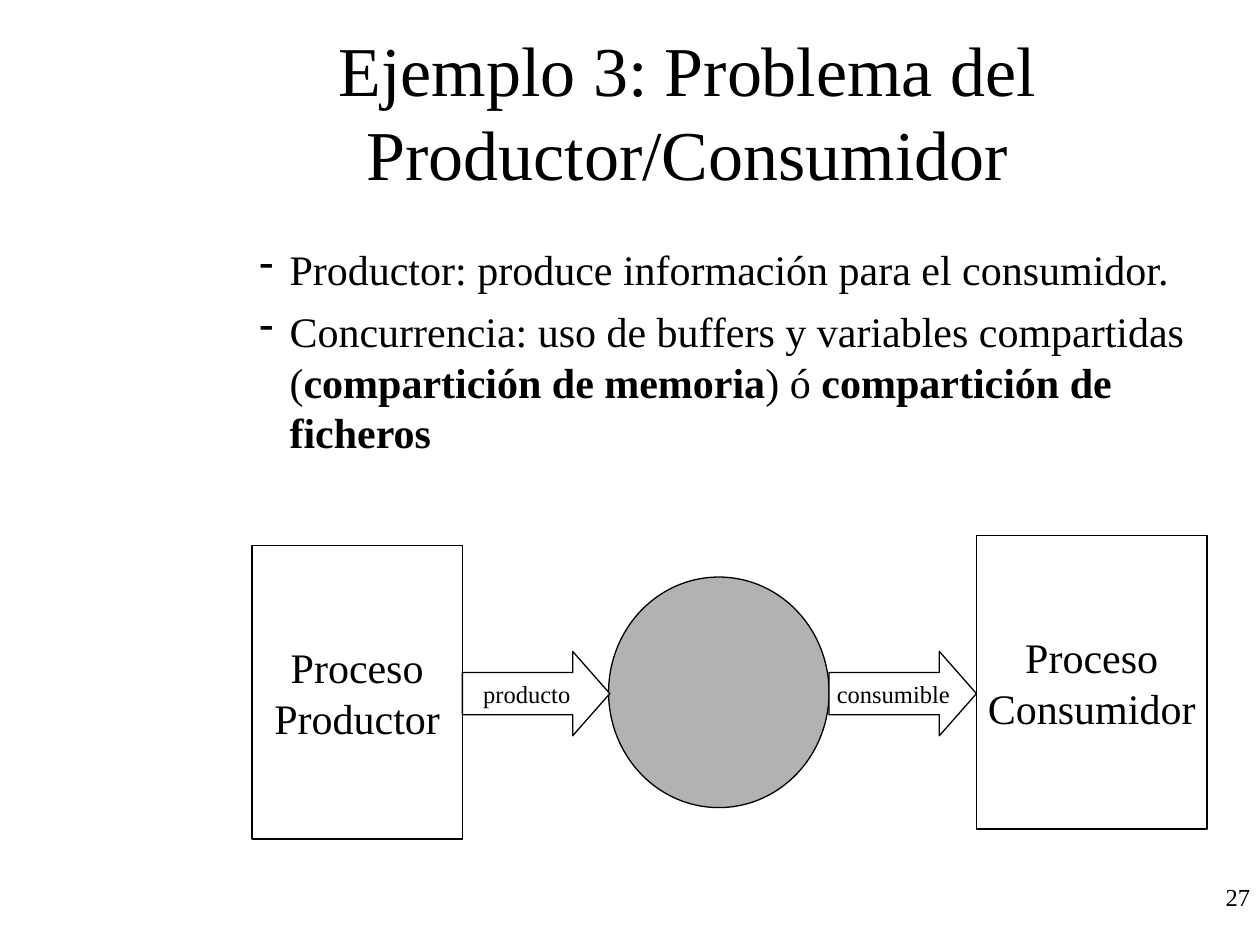
from lxml.etree import SubElement
from pptx import Presentation
from pptx.dml.color import RGBColor
from pptx.enum.shapes import MSO_SHAPE as Shape
from pptx.enum.text import MSO_ANCHOR as Anchor, MSO_AUTO_SIZE as AutoSize, PP_ALIGN as Align
from pptx.oxml.ns import qn
from pptx.util import Inches, Pt

BLACK = RGBColor(0x00, 0x00, 0x00)
WHITE = RGBColor(0xFF, 0xFF, 0xFF)
GRAY = RGBColor(0xB2, 0xB2, 0xB2)

prs = Presentation()
prs.slide_width, prs.slide_height = Inches(10), Inches(7.5)
slide = prs.slides.add_slide(prs.slide_layouts[6])


def style(paragraph, size, align):
    paragraph.alignment = align
    paragraph.font.name = "Times New Roman"
    paragraph.font.size = Pt(size)
    paragraph.font.color.rgb = BLACK


def add_figure(kind, left, top, width, height, fill, text="", size=24):
    figure = slide.shapes.add_shape(kind, Inches(left), Inches(top), Inches(width), Inches(height))
    figure.shadow.inherit = False
    figure.fill.solid()
    figure.fill.fore_color.rgb = fill
    figure.line.color.rgb = BLACK
    figure.line.width = Pt(0.75)
    if text:
        frame = figure.text_frame
        frame.word_wrap = False
        frame.vertical_anchor = Anchor.MIDDLE
        frame.text = text
        for paragraph in frame.paragraphs:
            style(paragraph, size, Align.CENTER)
    return figure


page_number = slide.shapes.add_textbox(Inches(7.94), Inches(6.95), Inches(2.08), Inches(0.5)).text_frame
page_number.word_wrap = True
page_number.text = "27"
style(page_number.paragraphs[0], 14, Align.RIGHT)

title = slide.shapes.add_textbox(Inches(1.58), Inches(0.25), Inches(7.75), Inches(1.25)).text_frame
title.word_wrap = True
title.vertical_anchor = Anchor.MIDDLE
title.text = "Ejemplo 3: Problema del Productor/Consumidor"
style(title.paragraphs[0], 40, Align.CENTER)

points = [
    [("Productor: produce información para el consumidor.", False)],
    [
        ("Concurrencia: uso de buffers y variables compartidas (", False),
        ("compartición de memoria", True),
        (") ó ", False),
        ("compartición de ficheros", True),
    ],
]
body = slide.shapes.add_textbox(Inches(1.77), Inches(1.88), Inches(8.17), Inches(2.36)).text_frame
body.word_wrap = True
body.auto_size = AutoSize.SHAPE_TO_FIT_TEXT
for index, point in enumerate(points):
    paragraph = body.add_paragraph() if index else body.paragraphs[0]
    if index:
        paragraph.space_before = Pt(7)
    properties = paragraph._p.get_or_add_pPr()
    properties.set("marL", str(Inches(0.43)))
    properties.set("indent", str(Inches(-0.24)))
    SubElement(properties, qn("a:buChar")).set("char", "-")
    style(paragraph, 24, Align.LEFT)
    for text, bold in point:
        run = paragraph.add_run()
        run.text = text
        run.font.bold = bold

add_figure(Shape.OVAL, 4.83, 4.58, 1.75, 1.83, GRAY)
add_figure(Shape.RECTANGLE, 2, 4.33, 1.67, 2.33, WHITE, "Proceso\nProductor")
add_figure(Shape.RECTANGLE, 7.75, 4.25, 1.83, 2.33, WHITE, "Proceso\nConsumidor")
for left, label in [(3.67, "producto"), (6.58, "consumible")]:
    arrow = add_figure(Shape.RIGHT_ARROW, left, 5.17, 1.17, 0.67, WHITE, label, 14)
    arrow.adjustments[1] = 0.44

prs.save("out.pptx")
